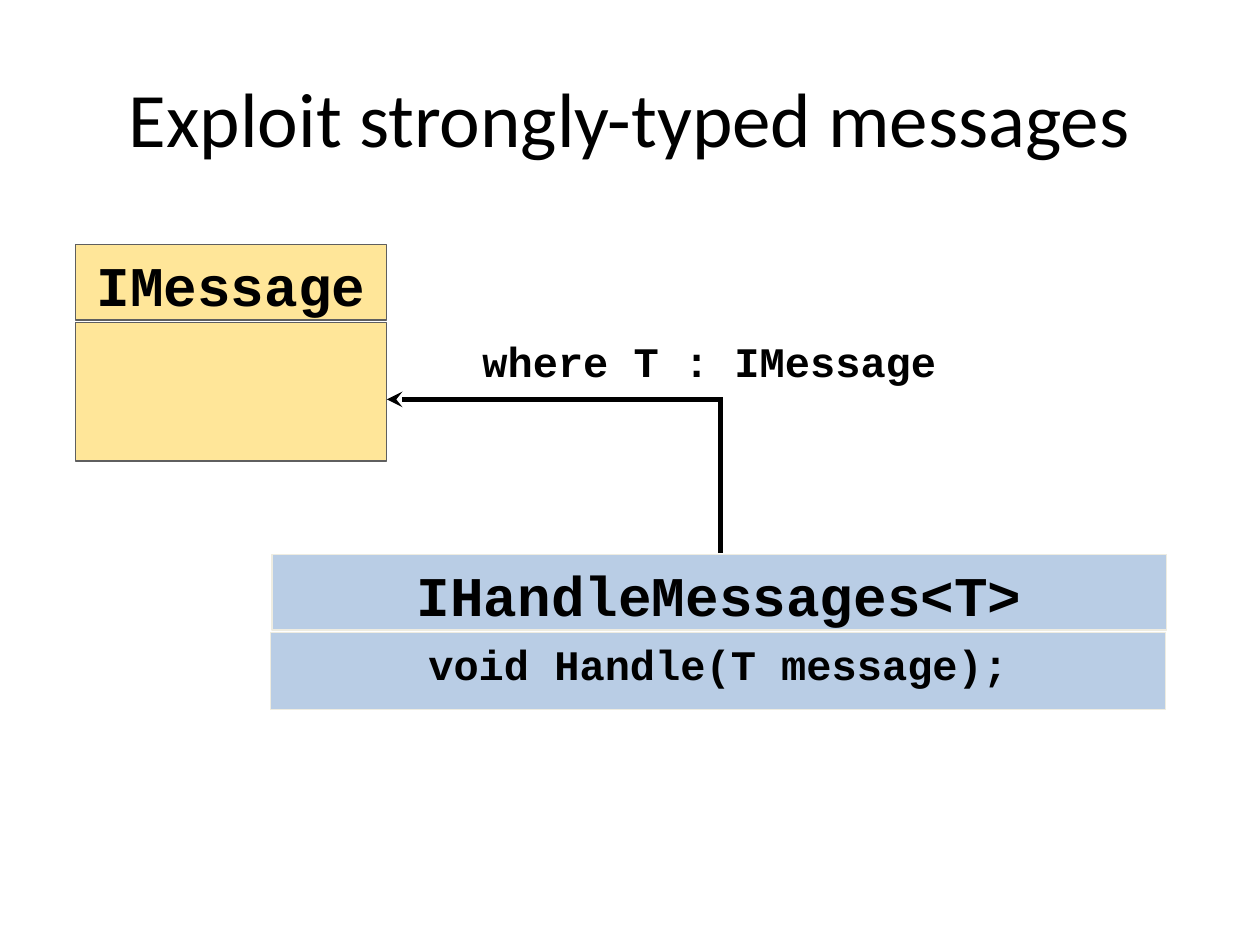
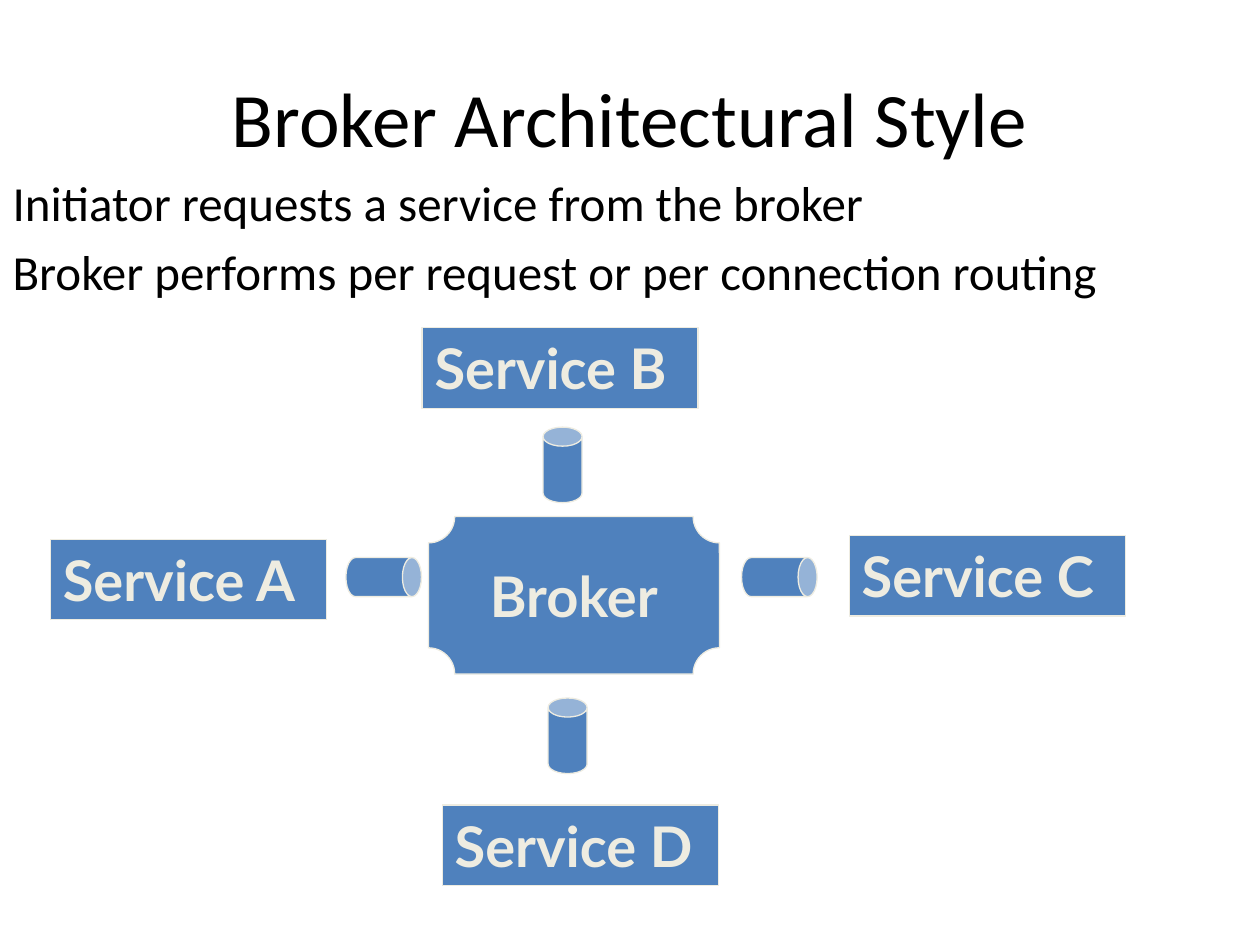
from dataclasses import dataclass

from lxml import etree
from pptx import Presentation
from pptx.dml.color import RGBColor
from pptx.enum.shapes import MSO_CONNECTOR, MSO_SHAPE
from pptx.enum.text import MSO_ANCHOR, MSO_AUTO_SIZE, PP_ALIGN
from pptx.oxml.ns import qn
from pptx.util import Inches, Pt

RECTANGLE, CAN, PLAQUE = MSO_SHAPE.RECTANGLE, MSO_SHAPE.CAN, MSO_SHAPE.PLAQUE
STRAIGHT = MSO_CONNECTOR.STRAIGHT
TOP, MIDDLE = MSO_ANCHOR.TOP, MSO_ANCHOR.MIDDLE
LEFT, CENTER = PP_ALIGN.LEFT, PP_ALIGN.CENTER
NO_FIT = MSO_AUTO_SIZE.NONE


@dataclass(frozen=True)
class Theme:
    ink: str = "000000"
    yellow: str = "FFE699"
    gray: str = "5F5F5F"
    pale_blue: str = "B9CDE5"
    blue: str = "4F81BD"
    cream: str = "EEECE1"
    text_font: str = "Calibri"
    code_font: str = "Courier New"
    label_font: str = "Lato"
    title_size: int = 44
    name_size: int = 32
    body_size: int = 28
    code_size: int = 24
    outline: float = 0.75
    arrow: float = 3


theme = Theme()

# The slide is a grid of 10 columns by 7.5 rows of square cells.
COLUMNS, ROWS = 10, 7.5
CELL = Inches(1)


def style(para, font, size, color, bold=False, align=LEFT):
    para.alignment = align
    para.font.name = font
    para.font.size = Pt(size)
    para.font.bold = bold
    para.font.color.rgb = RGBColor.from_string(color)


def add_box(page, kind, area, fill, line, text="", font=theme.label_font,
            size=theme.name_size, color=theme.cream, align=CENTER, anchor=TOP):
    """Add a filled shape; area is left, top, width, height in grid cells."""
    box = page.shapes.add_shape(kind, *[int(CELL * length) for length in area])
    box.shadow.inherit = False
    box.fill.solid()
    box.fill.fore_color.rgb = RGBColor.from_string(fill)
    box.line.color.rgb = RGBColor.from_string(line)
    box.line.width = Pt(theme.outline)
    if text:
        box.text_frame.text = text
        box.text_frame.vertical_anchor = anchor
        style(box.text_frame.paragraphs[0], font, size, color, True, align)
    return box


deck = Presentation()
deck.slide_width, deck.slide_height = int(CELL * COLUMNS), int(CELL * ROWS)
title_only, title_and_content = deck.slide_layouts[5], deck.slide_layouts[1]

pages = []
for layout, heading in ((title_only, "Exploit strongly-typed messages"),
                        (title_and_content, "Broker Architectural Style")):
    page = deck.slides.add_slide(layout)
    title = page.shapes.title
    title.left, title.top = int(CELL * 0.5), int(CELL * 0.3)
    title.width, title.height = CELL * 9, int(CELL * 1.25)
    title.text_frame.text = heading
    title.text_frame.vertical_anchor = MIDDLE
    title.text_frame.auto_size = NO_FIT
    style(title.text_frame.paragraphs[0], theme.text_font, theme.title_size,
          theme.ink, align=CENTER)
    pages.append(page)
messages_page, broker_page = pages

# Strongly-typed messages: two interfaces and the constraint between them
interface_parts = (
    ((0.6, 1.94, 2.47, 0.6), theme.yellow, theme.gray, "IMessage", theme.name_size),
    ((0.6, 2.56, 2.47, 1.1), theme.yellow, theme.gray, "", theme.code_size),
    ((2.16, 4.4, 7.1, 0.6), theme.pale_blue, theme.cream, "IHandleMessages<T>",
     theme.name_size),
    ((2.15, 5.02, 7.1, 0.61), theme.pale_blue, theme.cream, "void Handle(T message);",
     theme.code_size),
)
for area, fill, line, text, size in interface_parts:
    add_box(messages_page, RECTANGLE, area, fill, line, text,
            theme.code_font, size, theme.ink)

constraint = messages_page.shapes.add_textbox(
    *[int(CELL * length) for length in (3.73, 2.66, 3.95, 0.46)])
constraint.text_frame.word_wrap = True
constraint.text_frame.text = "where T : IMessage"
constraint_para = constraint.text_frame.paragraphs[0]
constraint_para.line_spacing = 0.9
style(constraint_para, theme.code_font, theme.code_size, theme.ink, True)

for ends, has_arrowhead in (((5.72, 4.39, 5.72, 3.15), False),
                            ((5.71, 3.17, 3.07, 3.17), True)):
    connector = messages_page.shapes.add_connector(
        STRAIGHT, *[int(CELL * length) for length in ends])
    connector.line.color.rgb = RGBColor.from_string(theme.ink)
    connector.line.width = Pt(theme.arrow)
    if has_arrowhead:
        etree.SubElement(connector.line._get_or_add_ln(), qn("a:tailEnd"), type="stealth")
    etree.SubElement(connector._element.spPr, qn("a:effectLst"))

# Broker: four services joined to the middle by pipes
body = broker_page.placeholders[1]
body.left, body.top = 0, int(CELL * 1.32)
body.width, body.height = deck.slide_width, int(CELL * 1.08)
frame = body.text_frame
frame.text = ("Initiator requests a service from the broker\n"
              "Broker performs per request or per connection routing")
frame.auto_size = NO_FIT
for index, para in enumerate(frame.paragraphs):
    properties = para._p.get_or_add_pPr()
    properties.set("marL", str(int(CELL * 0.38)))
    properties.set("indent", str(int(CELL * -0.38)))
    para.space_before = Pt(index * theme.body_size * 0.2)
    etree.SubElement(properties, qn("a:buNone"))
    style(para, theme.text_font, theme.body_size, theme.ink)

for letter, left, top in (("A", 0.4, 4.28), ("B", 3.35, 2.6),
                          ("C", 6.74, 4.25), ("D", 3.51, 6.39)):
    add_box(broker_page, RECTANGLE, (left, top, 2.19, 0.64), theme.blue, theme.cream,
            f"Service {letter}", align=LEFT)

broker = add_box(broker_page, PLAQUE, (3.4, 4.1, 2.31, 1.25), theme.blue, theme.cream,
                 "Broker", anchor=MIDDLE)
broker.adjustments[0] = 0.167

for left, top, rotation in ((4.31, 3.39, 0), (4.35, 5.54, 0),
                            (6.03, 4.28, 90), (2.89, 4.28, 90)):
    pipe = add_box(broker_page, CAN, (left, top, 0.31, 0.6), theme.blue, theme.cream)
    pipe.adjustments[0] = 0.489
    pipe.rotation = rotation

deck.save("out.pptx")
